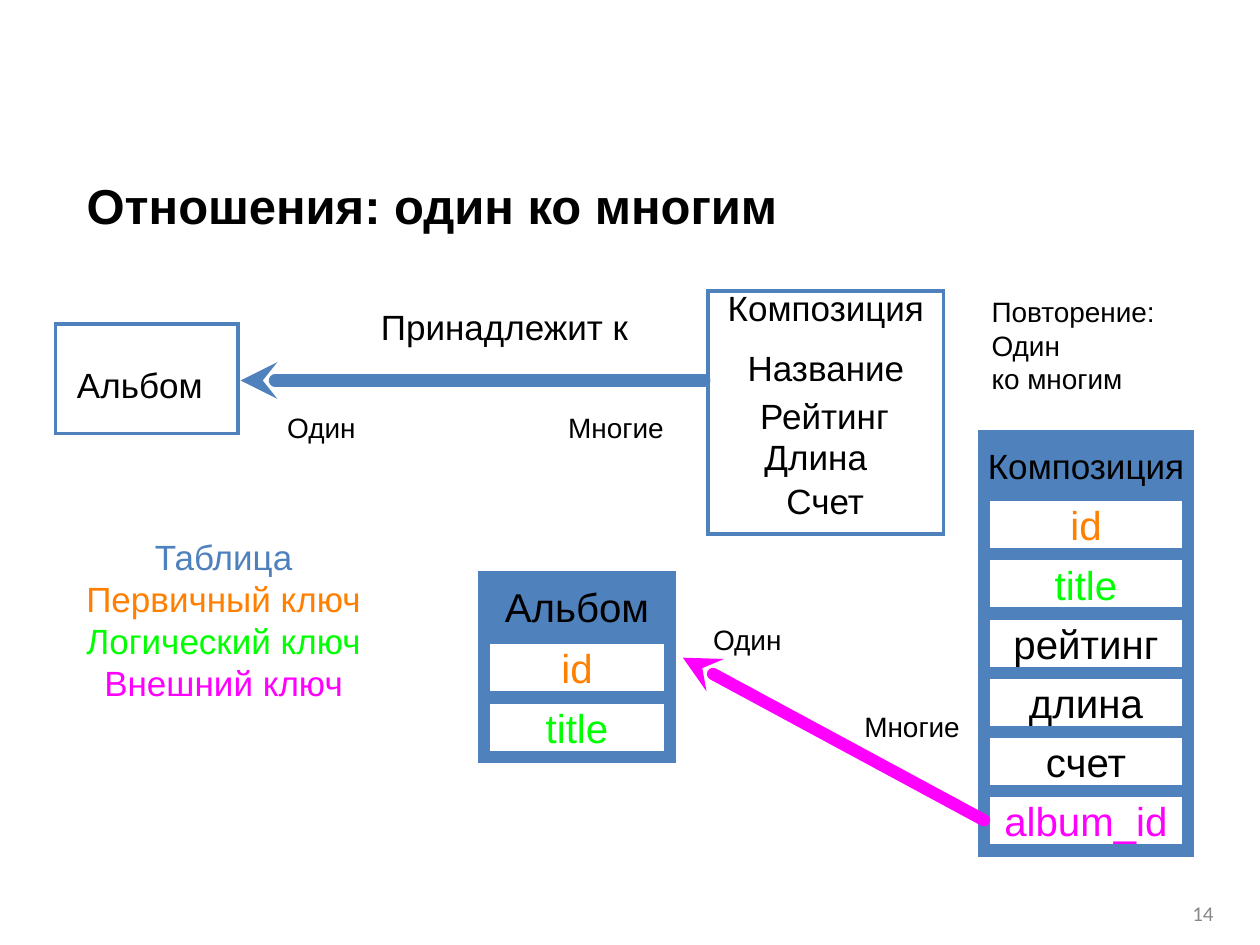
from lxml.etree import SubElement
from pptx import Presentation
from pptx.dml.color import RGBColor
from pptx.enum.shapes import MSO_CONNECTOR, MSO_SHAPE
from pptx.enum.text import MSO_ANCHOR, PP_ALIGN
from pptx.oxml.ns import qn
from pptx.util import Inches, Pt

BLACK = RGBColor(0x00, 0x00, 0x00)
GREY = RGBColor(0x88, 0x88, 0x88)
BLUE = RGBColor(0x4F, 0x81, 0xBD)
ORANGE = RGBColor(0xFF, 0x7F, 0x00)
GREEN = RGBColor(0x00, 0xFF, 0x00)
MAGENTA = RGBColor(0xFF, 0x00, 0xFF)

presentation = Presentation()
presentation.slide_width = Inches(10)
presentation.slide_height = Inches(7.5)
slide = presentation.slides.add_slide(presentation.slide_layouts[6])

# The slide is a grid of 100 columns by 75 rows.
COLUMN = presentation.slide_width / 100
ROW = presentation.slide_height / 75


def to_lengths(*grid_values):
    """Turn alternating column and row counts into lengths."""
    return [int(value * unit) for value, unit in zip(grid_values, (COLUMN, ROW) * 2)]


def write(shape, lines, size, align=PP_ALIGN.CENTER, anchor=MSO_ANCHOR.MIDDLE,
          margins=(0, 0, 0, 0), name="Arial", bold=False):
    """Fill a shape with lines given as (text, colour) pairs."""
    frame = shape.text_frame
    frame.word_wrap = True
    frame.vertical_anchor = anchor
    for side, margin in zip(("left", "top", "right", "bottom"), margins):
        setattr(frame, f"margin_{side}", Inches(margin))
    for index, (text, colour) in enumerate(lines):
        paragraph = frame.add_paragraph() if index else frame.paragraphs[0]
        paragraph.alignment = align
        run = paragraph.add_run()
        run.text = text
        for attribute, value in {"size": Pt(size), "name": name, "bold": bold}.items():
            setattr(run.font, attribute, value)
        run.font.color.rgb = colour


# Frames of the logical model: box, line width, fill, text, text colour, text size
boxes = [
    ((56.2, 23.1, 18.7, 19.3), 2, None, "", BLACK, 20),
    ((4.4, 25.7, 14.5, 8.7), 2, None, "", BLACK, 20),
]

# Database tables: left, top, width, row step, header size, columns
tables = [
    (38.4, 45.8, 14.8, 4.8, 23,
     [("Альбом", BLACK), ("id", ORANGE), ("title", GREEN)]),
    (78.1, 34.6, 16.2, 4.7, 20,
     [("Композиция", BLACK), ("id", ORANGE), ("title", GREEN), ("рейтинг", BLACK),
      ("длина", BLACK), ("счет", BLACK), ("album_id", MAGENTA)]),
]
for left, top, width, step, header_size, fields in tables:
    for index, (text, colour) in enumerate(fields):
        boxes.append(((left, top + index * step, width, 4.7), 7,
                      None if index else BLUE, text, colour,
                      23 if index else header_size))

for box, line_width, fill, text, colour, size in boxes:
    shape = slide.shapes.add_shape(MSO_SHAPE.RECTANGLE, *to_lengths(*box))
    shape.shadow.inherit = False
    if fill is None:
        shape.fill.background()
    else:
        shape.fill.solid()
        shape.fill.fore_color.rgb = fill
    shape.line.color.rgb = BLUE
    shape.line.width = Pt(line_width)
    SubElement(shape.line._get_or_add_ln(), qn("a:miter"), lim="800000")
    if text:
        write(shape, [(text, colour)], size)

# Arrows point from the many side to the one side, with the head at the start
for ends, colour in [((19.1, 30.2, 55.9, 30.2), BLUE), ((54.2, 52.2, 78.1, 65.1), MAGENTA)]:
    arrow = slide.shapes.add_connector(MSO_CONNECTOR.STRAIGHT, *to_lengths(*ends))
    arrow.line.color.rgb = colour
    arrow.line.width = Pt(7)
    line = arrow.line._get_or_add_ln()
    line.set("cap", "rnd")
    SubElement(line, qn("a:round"))
    SubElement(line, qn("a:headEnd"), type="stealth")
    SubElement(arrow._element.spPr, qn("a:effectLst"))

# Centred labels of the logical model: text, box, right margin
labels = [
    ("Альбом", (5.9, 28.6, 11.9, 3.8), 0.15),
    ("Принадлежит к", (28.8, 24, 22.5, 3.8), 0),
    ("Композиция", (57.4, 22.5, 16.3, 3.8), 0),
    ("Название", (58, 27.3, 15.1, 3.8), 0),
    ("Рейтинг", (59.1, 31.1, 12.7, 3.8), 0),
    ("Длина", (60.2, 34.3, 10.6, 3.8), 0.15),
    ("Счет", (59.8, 37.8, 11.4, 3.8), 0),
]
for text, box, right_margin in labels:
    write(slide.shapes.add_textbox(*to_lengths(*box)), [(text, BLACK)], 20,
          margins=(0, 0, right_margin, 0))

# Small notes beside the arrows and above the right table
notes = [
    (["Один"], (22.2, 32.3, 7.4, 3.2)),
    (["Многие"], (44.5, 32.3, 10.5, 3.2)),
    (["Один"], (56, 49.1, 8, 3.2)),
    (["Многие"], (68, 56, 8.8, 3.2)),
    (["Повторение:", "Один", "ко многим"], (78.1, 23.1, 14.8, 9.2)),
]
for lines, box in notes:
    write(slide.shapes.add_textbox(*to_lengths(*box)), [(text, BLACK) for text in lines], 16,
          align=PP_ALIGN.LEFT, anchor=MSO_ANCHOR.TOP, margins=(0.06, 0.03, 0.06, 0.03))

legend = slide.shapes.add_textbox(*to_lengths(5.9, 42.5, 23.7, 13.4))
write(legend, [("Таблица", BLUE), ("Первичный ключ", ORANGE),
               ("Логический ключ", GREEN), ("Внешний ключ", MAGENTA)], 20)

title = slide.shapes.add_textbox(*to_lengths(5.9, 12.3, 90.6, 7.9))
write(title, [("Отношения: один ко многим", BLACK)], 28, align=PP_ALIGN.LEFT,
      margins=(0.1, 0.05, 0.1, 0.05), bold=True)

page_number = slide.shapes.add_textbox(*to_lengths(74, 70.5, 23.3, 4))
write(page_number, [("14", GREY)], 12, align=PP_ALIGN.RIGHT,
      margins=(0.1, 0.05, 0.1, 0.05), name="Calibri")

presentation.save("out.pptx")
